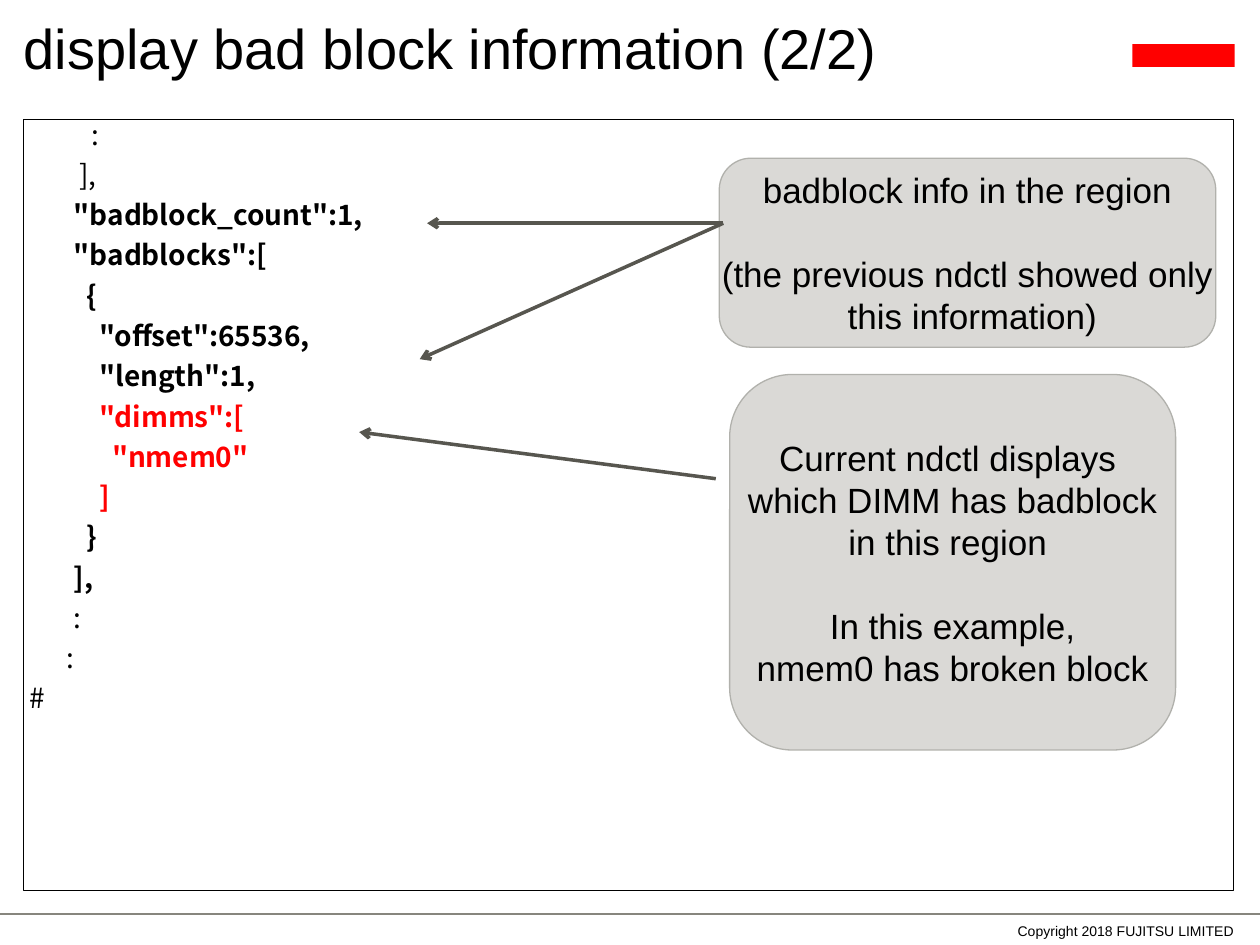
from pptx import Presentation
from pptx.dml.color import RGBColor
from pptx.enum.shapes import MSO_CONNECTOR as LINK, MSO_SHAPE as SHAPE
from pptx.enum.text import MSO_ANCHOR as ANCHOR, PP_ALIGN as ALIGN
from pptx.oxml.ns import qn
from pptx.util import Cm, Pt
from lxml import etree

BLACK = RGBColor(0, 0, 0)
RED = RGBColor(0xFF, 0, 0)
RULE = RGBColor(0x87, 0x86, 0x7E)
ARROW = RGBColor(0x57, 0x56, 0x4F)
PANEL = RGBColor(0xDA, 0xD9, 0xD6)
PANEL_EDGE = RGBColor(0xB1, 0xB1, 0xAC)

JSON_LINES = """           :
         ],
        "badblock_count":1,
        "badblocks":[
          {
            "offset":65536,
            "length":1,
            "dimms":[
              "nmem0"
            ]
          }
        ],
        :
       :
 #""".split("\n")
BOLD_LINES = range(2, 12)
RED_LINES = range(7, 10)

CALLOUTS = [
    (14.71, 7.55, 8.99, 7.57,
     ["Current ndctl displays ", "which DIMM has badblock", "in this region ",
      "In this example,", "nmem0 has broken block"], 3),
    (14.5, 3.19, 10.01, 3.81,
     ["badblock info in the region",
      "(the previous ndctl showed only\v this information)"], 1),
]
ARROWS = [
    (14.43, 9.65, 7.24, 8.71),
    (14.58, 4.5, 8.61, 4.5),
    (14.58, 4.5, 8.46, 7.24),
]


def add_line(x1, y1, x2, y2, color, width):
    line = slide.shapes.add_connector(LINK.STRAIGHT, Cm(x1), Cm(y1), Cm(x2), Cm(y2))
    line.line.color.rgb = color
    line.line.width = Pt(width)
    etree.SubElement(line._element.spPr, qn("a:effectLst"))
    return line


def style(paragraph, size, font="Arial", color=BLACK, align=ALIGN.LEFT, bold=False):
    paragraph.alignment = align
    for run in paragraph.runs:
        run.font.name = font
        run.font.size = Pt(size)
        run.font.bold = bold
        run.font.color.rgb = color


prs = Presentation()
prs.slide_width, prs.slide_height = Cm(25.4), Cm(19.05)
slide = prs.slides.add_slide(prs.slide_layouts[6])

add_line(0, 18.42, 25.4, 18.42, RULE, 1)

emblem = slide.shapes.add_shape(SHAPE.RECTANGLE, Cm(22.83), Cm(0.89), Cm(2.06), Cm(0.46))
emblem.shadow.inherit = False
emblem.fill.solid()
emblem.fill.fore_color.rgb = RED
emblem.line.fill.background()

for left, top, width, height, text, size, align in [
    (0.48, 0, 21.82, 1.92, "display bad block information (2/2)", 32, ALIGN.LEFT),
    (13.7, 18.49, 11.18, 0.56, "Copyright 2018 FUJITSU LIMITED", 8, ALIGN.RIGHT),
]:
    label = slide.shapes.add_textbox(Cm(left), Cm(top), Cm(width), Cm(height)).text_frame
    label.margin_left = label.margin_right = label.margin_top = label.margin_bottom = 0
    label.word_wrap = True
    label.vertical_anchor = ANCHOR.MIDDLE
    label.text = text
    style(label.paragraphs[0], size, align=align)

listing = slide.shapes.add_shape(SHAPE.RECTANGLE, Cm(0.47), Cm(2.41), Cm(24.4), Cm(15.54))
listing.shadow.inherit = False
listing.fill.background()
listing.line.color.rgb = BLACK
listing.line.width = Pt(0.75)
code = listing.text_frame
code.margin_left = code.margin_right = code.margin_top = code.margin_bottom = 0
code.word_wrap = True
code.vertical_anchor = ANCHOR.TOP
code.text = "\n".join(JSON_LINES)
for number, paragraph in enumerate(code.paragraphs):
    paragraph.line_spacing = 0.95
    paragraph.space_after = Pt(4.8)
    style(paragraph, 16, "Noto Sans CJK JP",
          RED if number in RED_LINES else BLACK, bold=number in BOLD_LINES)

for left, top, width, height, lines, gap_before in CALLOUTS:
    callout = slide.shapes.add_shape(
        SHAPE.ROUNDED_RECTANGLE, Cm(left), Cm(top), Cm(width), Cm(height))
    callout.shadow.inherit = False
    callout.fill.solid()
    callout.fill.fore_color.rgb = PANEL
    callout.line.color.rgb = PANEL_EDGE
    callout.line.width = Pt(0.75)
    message = callout.text_frame
    message.word_wrap = False
    message.vertical_anchor = ANCHOR.MIDDLE
    message.text = "\n".join(lines)
    for paragraph in message.paragraphs:
        style(paragraph, 20, align=ALIGN.CENTER)
    message.paragraphs[gap_before].space_before = Pt(24)

for ends in ARROWS:
    pointer = add_line(*ends, ARROW, 2)
    outline = pointer._element.spPr.find(qn("a:ln"))
    etree.SubElement(outline, qn("a:tailEnd"), type="arrow")

prs.save("out.pptx")
